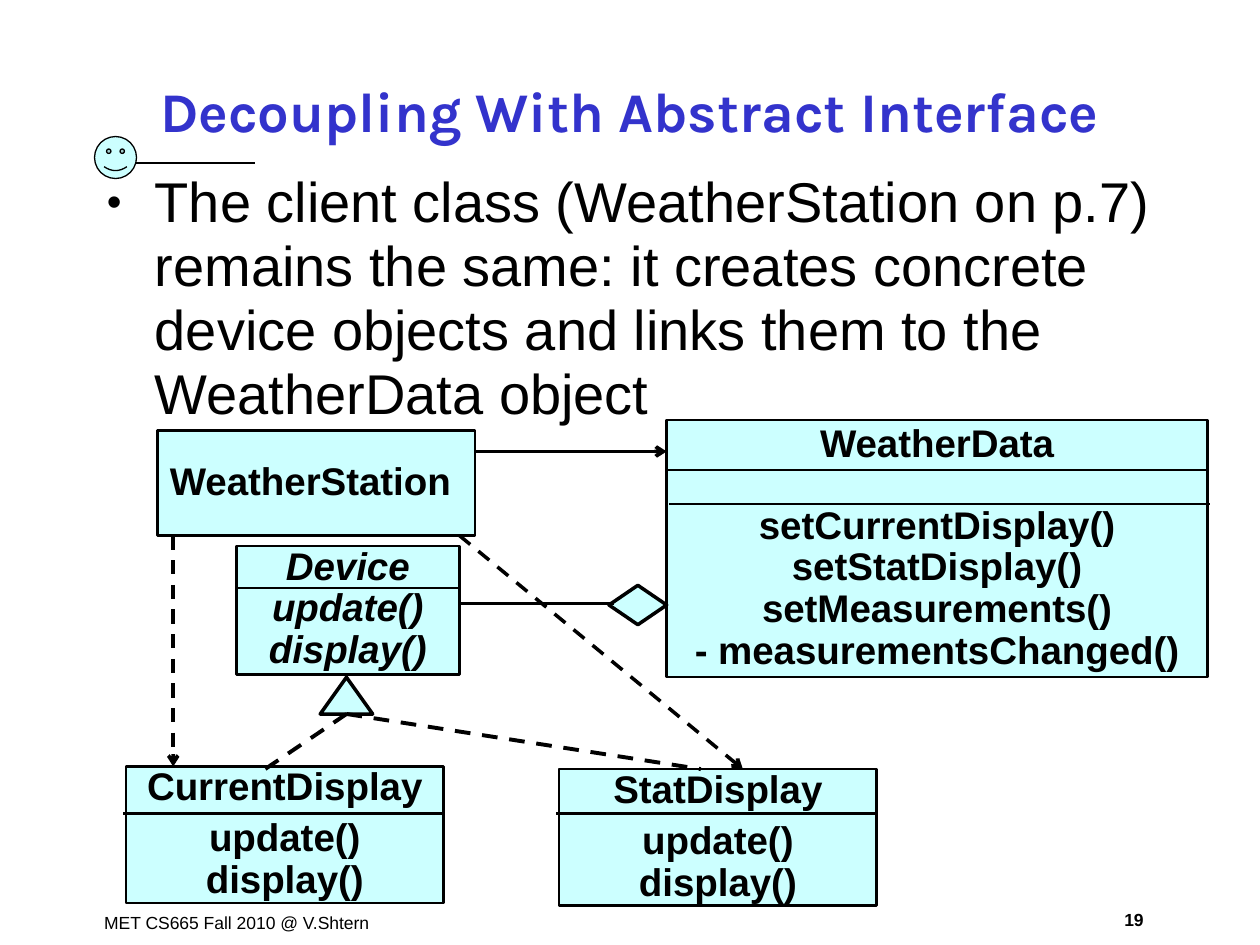
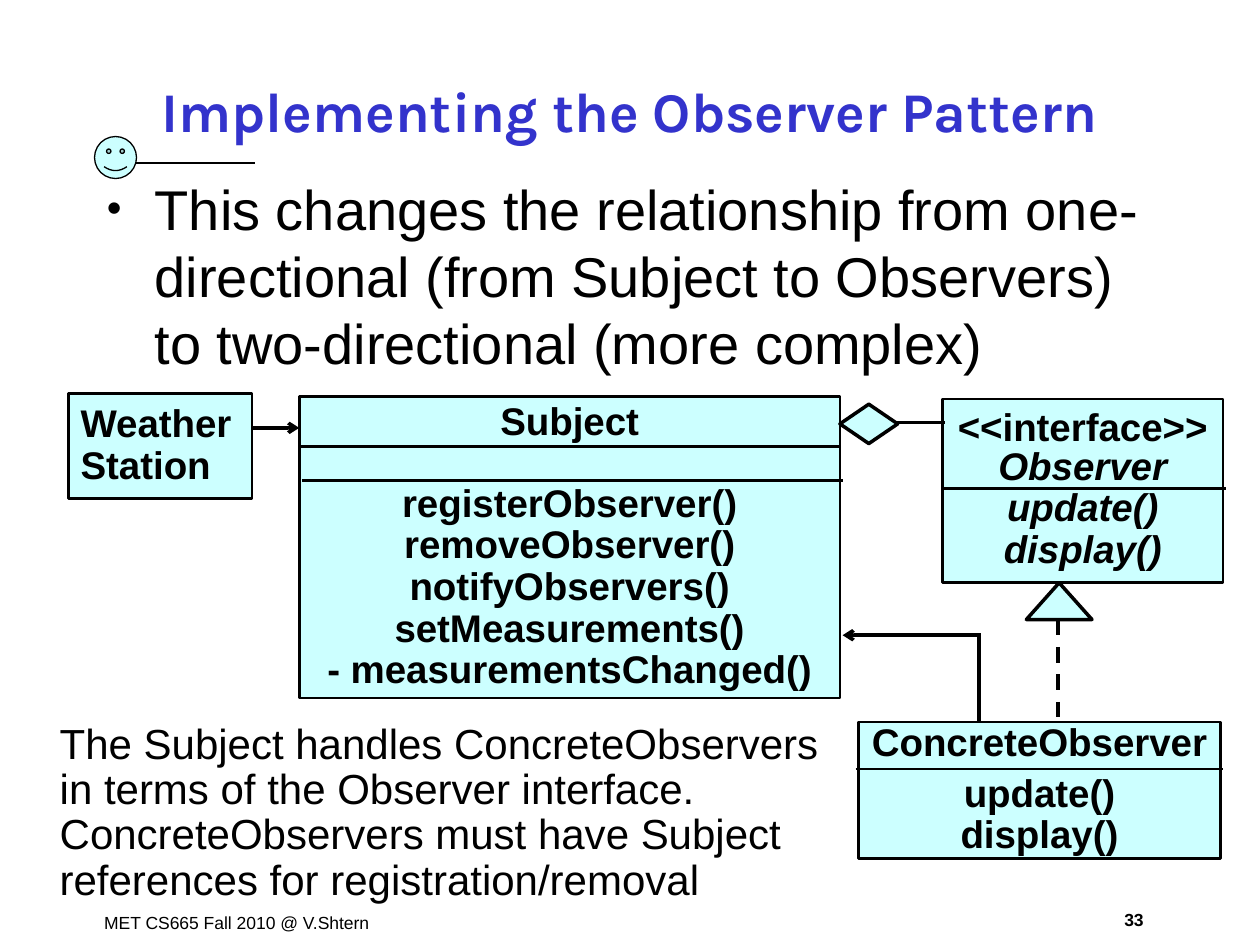
import dataclasses

import pptx
import pptx.dml.color
import pptx.enum.dml
import pptx.enum.shapes
import pptx.enum.text
import pptx.oxml.ns
import pptx.util
from lxml import etree

SHAPE = pptx.enum.shapes.MSO_SHAPE
ALIGN = pptx.enum.text.PP_ALIGN
MIDDLE = pptx.enum.text.MSO_ANCHOR.MIDDLE
WIDTH, HEIGHT = pptx.util.Inches(10), pptx.util.Inches(7.5)
COLS, ROWS = 240, 180
BLACK, BLUE, AQUA, WHITE = "000000", "3333CC", "CCFFFF", "FFFFFF"
DASH = pptx.enum.dml.MSO_LINE.DASH


@dataclasses.dataclass
class Box:
    x: float
    y: float
    w: float
    h: float

    def area(self, x, y, w, h):
        return Box(self.x + x, self.y + y, w, h)

    def size(self):
        return (*spot(self.x, self.y), *spot(self.w, self.h))


@dataclasses.dataclass
class Line:
    text: str
    slant: bool = False
    space: float = 0.9
    gap: float = 0


def spot(x, y):
    return round(x * WIDTH / COLS), round(y * HEIGHT / ROWS)


def tint(code):
    return pptx.dml.color.RGBColor.from_string(code)


def add_tag(host, tag, **props):
    return etree.SubElement(host, pptx.oxml.ns.qn("a:" + tag), props)


def write(frame, lines, size, bold=False, font="Arial", ink=BLACK,
          align=ALIGN.LEFT, wrap=True):
    frame.word_wrap = wrap
    for i, line in enumerate(lines):
        para = frame.add_paragraph() if i else frame.paragraphs[0]
        para.alignment = align
        para.line_spacing = line.space
        para.space_before = pptx.util.Pt(line.gap)
        run = para.add_run()
        run.text = line.text
        run.font.name = font
        run.font.size = pptx.util.Pt(size)
        run.font.bold = bold
        run.font.italic = line.slant
        run.font.color.rgb = tint(ink)


def label(slide, box, line, size, **style):
    frame = slide.shapes.add_textbox(*box.size()).text_frame
    write(frame, [line], size, **style)
    return frame


def form(slide, kind, box, width):
    shape = slide.shapes.add_shape(kind, *box.size())
    shape.shadow.inherit = False
    shape.fill.solid()
    shape.fill.fore_color.rgb = tint(AQUA)
    shape.line.color.rgb = tint(BLACK)
    shape.line.width = pptx.util.Pt(width)
    return shape


def link(slide, box, start, end, width=2, dash=None, arrow=False):
    ends = [spot(box.x + x, box.y + y) for x, y in (start, end)]
    wire = slide.shapes.add_connector(
        pptx.enum.shapes.MSO_CONNECTOR.STRAIGHT, *ends[0], *ends[1])
    wire.line.color.rgb = tint(BLACK)
    wire.line.width = pptx.util.Pt(width)
    if dash:
        wire.line.dash_style = dash
    props = wire.element.spPr
    if arrow:
        add_tag(props.find(pptx.oxml.ns.qn("a:ln")), "tailEnd", type="arrow")
    add_tag(props, "effectLst")


def card(slide, box, lines, rules=(), align=ALIGN.CENTER, wrap=False):
    frame = form(slide, SHAPE.RECTANGLE, box, 1.5).text_frame
    frame.vertical_anchor = MIDDLE
    write(frame, lines, 22, bold=True, align=align, wrap=wrap)
    for row, left, right in rules:
        link(slide, box, (left, row), (box.w + right, row), 1.5)


def data_card(slide, box, name, calls):
    lines = [Line(name), Line(calls[0], gap=22.8), *map(Line, calls[1:])]
    card(slide, box, lines, [(9.5, 0, 0), (16, 0.5, 0.5)])


def view_card(slide, box, name, row, over=0):
    lines = [Line(name), Line("update()", gap=5.5), Line("display()")]
    card(slide, box, lines, [(row, -0.5, over)])


def base_card(slide, box, heads, row, over=0):
    calls = [Line("update()", True), Line("display()", True)]
    card(slide, box, heads + calls, [(row, 0, over)])


def header(slide, box, title):
    frame = label(slide, box, Line(title, space=1.0), 32, bold=True,
                  font="Karla", ink=BLUE, align=ALIGN.CENTER)
    frame.vertical_anchor = MIDDLE
    form(slide, SHAPE.SMILEY_FACE, box.area(0, 14.5, 8, 8), 0.75)
    link(slide, box, (8, 19.5), (30.5, 19.5), 1)


def footer(slide, box, page):
    label(slide, box.area(0, 0.5, 58, 6.5),
          Line("MET CS665 Fall 2010 @ V.Shtern", space=1.0, gap=6.2), 10)
    label(slide, box.area(192, 0, 13, 6.5),
          Line(page, space=1.0, gap=6.2), 10, bold=True, align=ALIGN.CENTER)


def body(slide, box, text, space):
    frame = label(slide, box, Line(text, space=space, gap=8), 32)
    props = frame.paragraphs[0]._p.get_or_add_pPr()
    dent = pptx.util.Inches(0.38)
    props.set("marL", str(dent))
    props.set("indent", str(-dent))
    add_tag(add_tag(props, "buClr"), "srgbClr", val=BLACK)
    add_tag(props, "buSzPct", val="75000")
    add_tag(props, "buFont", typeface="Arial")
    add_tag(props, "buChar", char="•")


def device_map(slide, box):
    card(slide, box.area(6, 2, 60.5, 20), [Line("WeatherStation")],
         align=ALIGN.LEFT)
    data_card(slide, box.area(103, 0, 103, 49), "WeatherData",
              ["setCurrentDisplay()", "setStatDisplay()",
               "setMeasurements()", "- measurementsChanged()"])
    view_card(slide, box.area(0, 66, 60.5, 26), "CurrentDisplay", 9)
    view_card(slide, box.area(82.5, 66.5, 60.5, 26), "StatDisplay", 8.5)
    base_card(slide, box.area(21, 24, 42.5, 24.5),
              [Line("Device", True, 0.85)], 8)
    form(slide, SHAPE.FLOWCHART_DECISION, box.area(92, 31.5, 11, 7.5), 2)
    form(slide, SHAPE.ISOSCELES_TRIANGLE, box.area(37, 49, 10, 7), 2)
    link(slide, box, (9, 22), (9, 66), dash=DASH, arrow=True)
    link(slide, box, (63.5, 22), (117.5, 66.5), dash=DASH, arrow=True)
    link(slide, box, (66.5, 6), (103, 6), arrow=True)
    link(slide, box, (93, 35), (63.5, 35))
    for x in (26.5, 109.5):
        link(slide, box, (42, 56), (x, 66.5), 2.25, DASH)


def subject_map(slide, box):
    card(slide, box.area(0, 0, 35, 20), [Line("WeatherStation")],
         align=ALIGN.LEFT, wrap=True)
    data_card(slide, box.area(44, 0.5, 103, 57.5), "Subject",
              ["registerObserver()", "removeObserver()", "notifyObservers()",
               "setMeasurements()", "- measurementsChanged()"])
    view_card(slide, box.area(150.5, 62.5, 69, 26), "ConcreteObserver", 9, 0.5)
    base_card(slide, box.area(166.5, 1, 53.5, 35),
              [Line("<<interface>>", space=0.85),
               Line("Observer", True, 0.85)], 17, 0.5)
    form(slide, SHAPE.FLOWCHART_DECISION, box.area(147, 2, 11, 7.5), 2)
    form(slide, SHAPE.ISOSCELES_TRIANGLE, box.area(182.5, 36, 12.5, 7), 2)
    link(slide, box, (35, 6.5), (44, 6.5), arrow=True)
    link(slide, box, (157.5, 5.5), (167, 5.5))
    link(slide, box, (188.5, 43), (188.5, 62.5), 2.25, DASH)
    link(slide, box, (173.5, 62.5), (173.5, 45.5))
    link(slide, box, (173.5, 46), (147.5, 46), arrow=True)
    label(slide, box.area(-4, 61.5, 153.5, 37),
          Line("The Subject handles ConcreteObservers in terms of the "
               "Observer interface. ConcreteObservers must have Subject "
               "references for registration/removal", gap=15), 24)


def page(deck, number, title, text, top, space, draw, box):
    slide = deck.slides.add_slide(deck.slide_layouts[6])
    slide.background.fill.solid()
    slide.background.fill.fore_color.rgb = tint(WHITE)
    footer(slide, Box(17.5, 172, 205, 7), number)
    header(slide, Box(18, 11.5, 204, 19), title)
    body(slide, Box(18, top, 204, 138), text, space)
    draw(slide, box)


def main():
    deck = pptx.Presentation()
    deck.slide_width, deck.slide_height = WIDTH, HEIGHT
    page(deck, "19", "Decoupling With Abstract Interface",
         "The client class (WeatherStation on p.7) remains the same: it "
         "creates concrete device objects and links them to the WeatherData "
         "object", 31.5, 0.95, device_map, Box(24, 80, 206, 92.5))
    page(deck, "33", "Implementing the Observer Pattern",
         "This changes the relationship from one-directional (from Subject "
         "to Observers) to two-directional (more complex)",
         32, 1.0, subject_map, Box(13, 75, 220, 98.5))
    deck.save("out.pptx")


if __name__ == "__main__":
    main()
